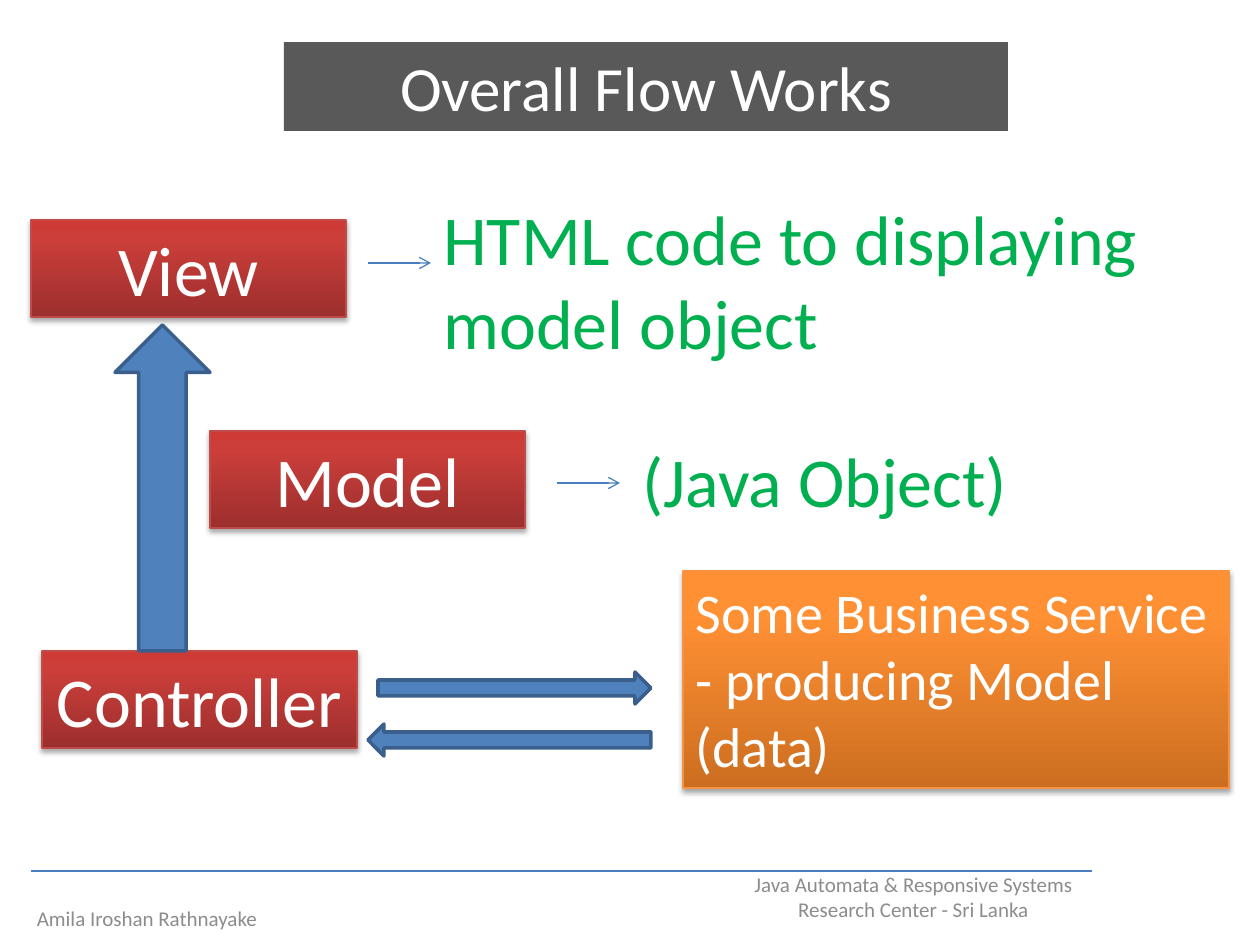
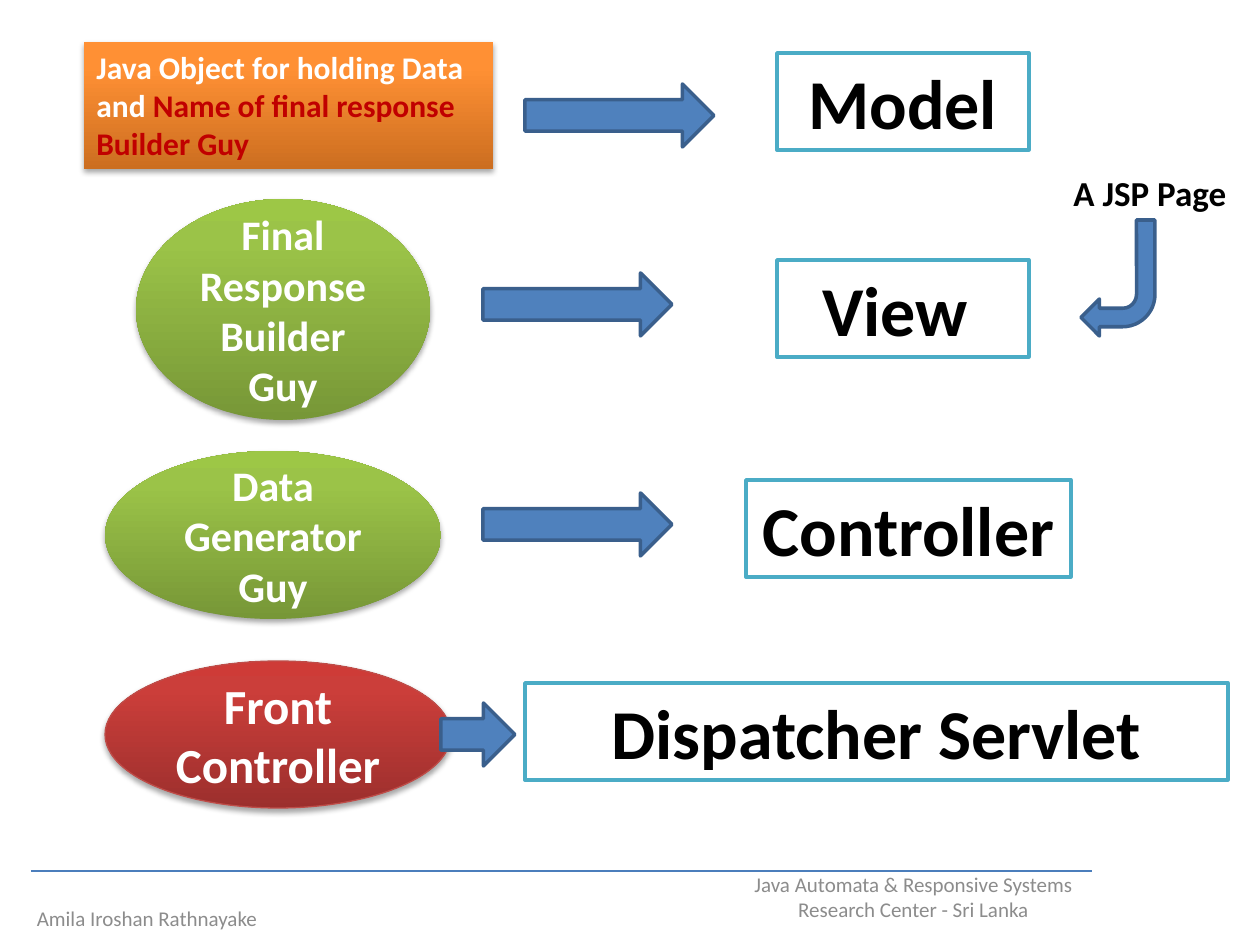
from copy import deepcopy

from pptx import Presentation
from pptx.dml.color import RGBColor
from pptx.enum.shapes import MSO_CONNECTOR, MSO_SHAPE
from pptx.enum.text import MSO_ANCHOR, MSO_AUTO_SIZE, PP_ALIGN
from pptx.oxml import parse_xml
from pptx.oxml.ns import nsdecls, qn
from pptx.util import Inches, Pt

SCALE = Inches(1) / 126
FONT = "Calibri"

WHITE = RGBColor(0xFF, 0xFF, 0xFF)
BLACK = RGBColor(0x00, 0x00, 0x00)
TITLE_GREY = RGBColor(0x59, 0x59, 0x59)
FOOTER_GREY = RGBColor(0x8C, 0x8C, 0x8C)
BLUE = RGBColor(0x4F, 0x81, 0xBD)
DARK_BLUE = RGBColor(0x3A, 0x5F, 0x8C)
LINE_BLUE = RGBColor(0x4B, 0x7E, 0xBC)
TEAL = RGBColor(0x4B, 0xAC, 0xC6)
TEXT_GREEN = RGBColor(0x00, 0xB0, 0x50)
TEXT_RED = RGBColor(0xC0, 0x00, 0x00)
RED_EDGE = RGBColor(0xBF, 0x4C, 0x48)
ORANGE_EDGE = RGBColor(0xF6, 0x92, 0x40)

# Gradients run from the bottom edge to the top edge.
STOPS = (0, 0.8, 1)
RED = (RGBColor(0x9C, 0x2F, 0x2D), RGBColor(0xCB, 0x3E, 0x3A), RGBColor(0xCE, 0x3B, 0x37))
ORANGE = (RGBColor(0xCC, 0x6E, 0x20), RGBColor(0xFF, 0x90, 0x34), RGBColor(0xFF, 0x91, 0x36))
GREEN = (RGBColor(0x77, 0x97, 0x37), RGBColor(0x9B, 0xC3, 0x48), RGBColor(0x9D, 0xC7, 0x46))

SHADOW = (
    f'<a:outerShdw {nsdecls("a")} blurRad="40000" dist="23000" dir="5400000" rotWithShape="0">'
    '<a:srgbClr val="000000"><a:alpha val="35000"/></a:srgbClr></a:outerShdw>'
)


def px(*lengths):
    """Turn pixel lengths into EMU."""
    return [round(length * SCALE) for length in lengths]


def write(sp, *parts, size=40, color=WHITE, bold=False, align=PP_ALIGN.CENTER,
          anchor=MSO_ANCHOR.TOP):
    """Write one paragraph; a part is a string or a (string, colour) pair."""
    tf = sp.text_frame
    tf.word_wrap = True
    tf.auto_size = MSO_AUTO_SIZE.NONE
    tf.vertical_anchor = anchor
    p = tf.paragraphs[0]
    p.alignment = align
    for part in parts:
        text, part_color = (part, color) if isinstance(part, str) else part
        r = p.add_run()
        r.text = text
        r.font.name = FONT
        r.font.size = Pt(size)
        r.font.bold = bold
        r.font.color.rgb = part_color


class Deck:
    """Holds the presentation, its style and the current slide."""

    def __init__(self):
        """Start an empty 4:3 presentation."""
        self.prs = Presentation()
        self.prs.slide_width, self.prs.slide_height = Inches(10), Inches(7.5)

    def slide(self, title=None):
        """Add a slide with the shared footer and an optional title band."""
        layout = self.prs.slide_layouts[5 if title else 6]
        self.s = self.prs.slides.add_slide(layout)
        if title:
            sp = self.s.shapes.title
            sp.left, sp.top, sp.width, sp.height = px(284, 42, 724, 89)
            sp.fill.solid()
            sp.fill.fore_color.rgb = TITLE_GREY
            write(sp, title, size=36)
        footer = dict(size=12, color=FOOTER_GREY, align=PP_ALIGN.CENTER,
                      anchor=MSO_ANCHOR.MIDDLE)
        self.text((714, 872, 399, 50),
                  "Java Automata & Responsive Systems Research Center - Sri Lanka", **footer)
        self.text((0, 893, 294, 50), "Amila Iroshan Rathnayake", **footer)
        self.line((31, 871), (1092, 871))

    def text(self, box, *parts, **style):
        """Add a text box."""
        write(self.s.shapes.add_textbox(*px(*box)), *parts, **style)

    def line(self, start, end, arrow=False):
        """Add a thin line, with an open arrowhead at its end if asked."""
        con = self.s.shapes.add_connector(MSO_CONNECTOR.STRAIGHT, *px(*start, *end))
        con.line.color.rgb = LINE_BLUE
        con.line.width = Pt(0.75)
        spPr = con._element.spPr
        if arrow:
            spPr.find(qn("a:ln")).append(parse_xml(f'<a:tailEnd {nsdecls("a")} type="arrow"/>'))
        spPr.append(parse_xml(f'<a:effectLst {nsdecls("a")}/>'))

    def shape(self, kind, box, fill, edge=None, width=2.0):
        """Add a flat preset shape with an optional outline."""
        sp = self.s.shapes.add_shape(kind, *px(*box))
        sp.shadow.inherit = False
        sp.fill.solid()
        sp.fill.fore_color.rgb = fill
        if edge is None:
            sp.line.fill.background()
        else:
            sp.line.color.rgb = edge
            sp.line.width = Pt(width)
        return sp

    def block_arrow(self, kind, box, rotation=0):
        """Add a blue block arrow."""
        self.shape(kind, box, BLUE, DARK_BLUE).rotation = rotation

    def outlined(self, box, text):
        """Add a white box with a teal outline."""
        write(self.shape(MSO_SHAPE.RECTANGLE, box, WHITE, TEAL), text, color=BLACK, bold=True)

    def glossy(self, box, colors, *parts, kind=MSO_SHAPE.RECTANGLE, edge=None, **style):
        """Add a shape with a vertical gradient and a soft shadow."""
        sp = self.shape(kind, box, colors[0], edge, 0.75)
        sp.fill.gradient()
        sp.fill.gradient_angle = 90
        spPr = sp._element.spPr
        stop_list = spPr.find(qn("a:gradFill")).find(qn("a:gsLst"))
        stop_list.append(deepcopy(stop_list[0]))
        for stop, position, color in zip(sp.fill.gradient_stops, STOPS, colors):
            stop.position = position
            stop.color.rgb = color
        spPr.find(qn("a:effectLst")).append(parse_xml(SHADOW))
        write(sp, *parts, **style)

    def ellipse(self, box, colors, text, size=24, edge=None):
        """Add a glossy ellipse with bold text in its middle."""
        self.glossy(box, colors, text, kind=MSO_SHAPE.OVAL, edge=edge, size=size,
                    bold=True, anchor=MSO_ANCHOR.MIDDLE)


def flow_slide(deck):
    """Show how view, model, controller and service work together."""
    deck.slide("Overall Flow Works")
    for name, left, top in (("Controller", 42, 651), ("View", 31, 220), ("Model", 210, 431)):
        deck.glossy((left, top, 315, 97), RED, name, edge=RED_EDGE)
    deck.glossy((683, 571, 546, 217), ORANGE, "Some Business Service - producing Model (data)",
                edge=ORANGE_EDGE, size=32, align=PP_ALIGN.LEFT)
    deck.block_arrow(MSO_SHAPE.UP_ARROW, (115, 325, 95, 326))
    deck.block_arrow(MSO_SHAPE.RIGHT_ARROW, (378, 672, 273, 32))
    deck.block_arrow(MSO_SHAPE.LEFT_ARROW, (368, 724, 283, 32))
    note = dict(color=TEXT_GREEN, align=PP_ALIGN.LEFT)
    deck.text((630, 431, 600, 97), "(Java Object)", **note)
    deck.text((431, 189, 800, 183), "HTML code to displaying model object", **note)
    for left, y in ((368, 263), (557, 483)):
        deck.line((left, y), (left + 63, y), arrow=True)


def roles_slide(deck):
    """Match each role with its component."""
    deck.slide()
    deck.glossy((84, 42, 409, 127), ORANGE, "Java Object for holding Data and ",
                ("Name of final response Builder Guy", TEXT_RED),
                size=18, bold=True, align=PP_ALIGN.LEFT)
    deck.ellipse((105, 451, 336, 168), GREEN, "Data Generator Guy")
    deck.ellipse((136, 199, 294, 221), GREEN, "Final Response Builder Guy")
    deck.ellipse((105, 661, 346, 147), RED, "Front Controller", size=28, edge=RED_EDGE)
    for name, left, top, width in (("Model", 777, 53, 252), ("View ", 777, 260, 252),
                                   ("Controller", 746, 480, 325),
                                   ("Dispatcher Servlet", 525, 683, 703)):
        deck.outlined((left, top, width, 97), name)
    deck.text((1055, 165, 190, 55), "A JSP Page", size=20, color=BLACK, bold=True)
    deck.block_arrow(MSO_SHAPE.BENT_ARROW, (1081, 220, 74, 116), rotation=180)
    for left, top, width in ((525, 84, 189), (483, 273, 189), (483, 493, 189), (441, 703, 74)):
        deck.block_arrow(MSO_SHAPE.RIGHT_ARROW, (left, top, width, 63))


deck = Deck()
flow_slide(deck)
roles_slide(deck)
deck.prs.save("out.pptx")
